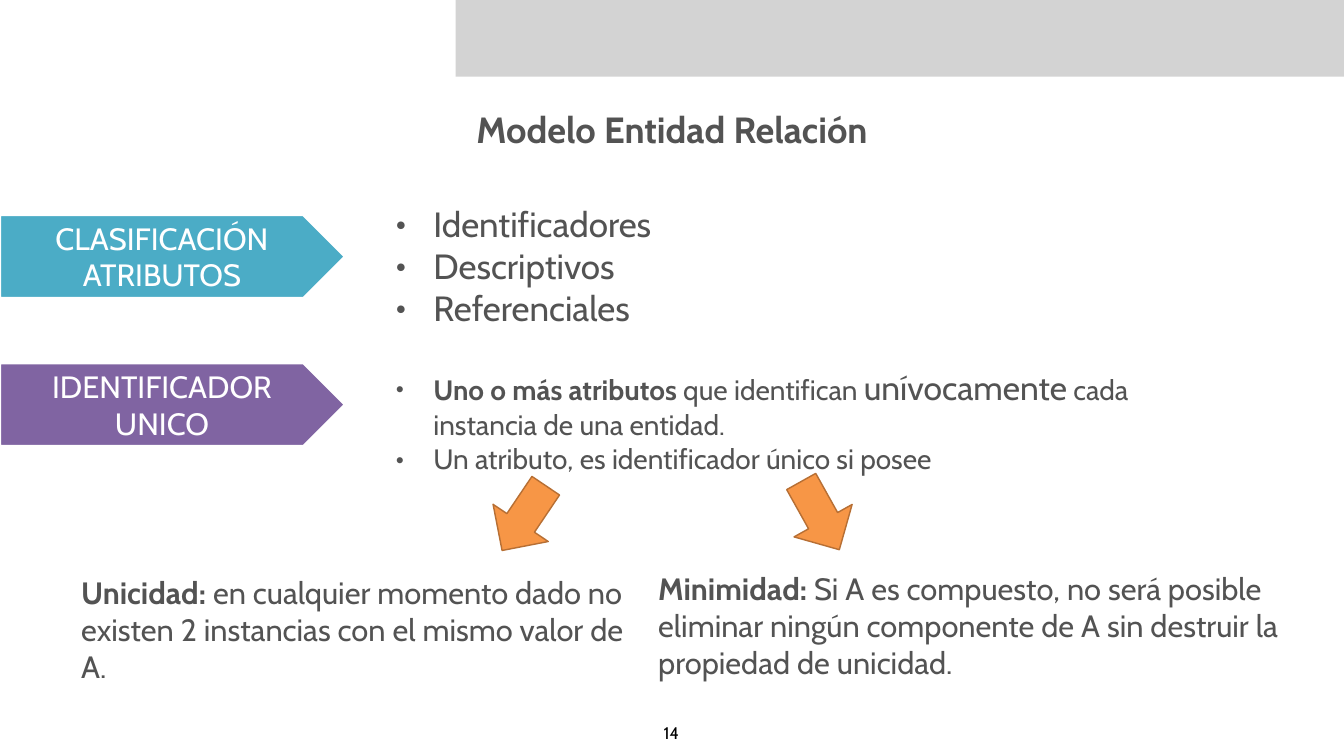
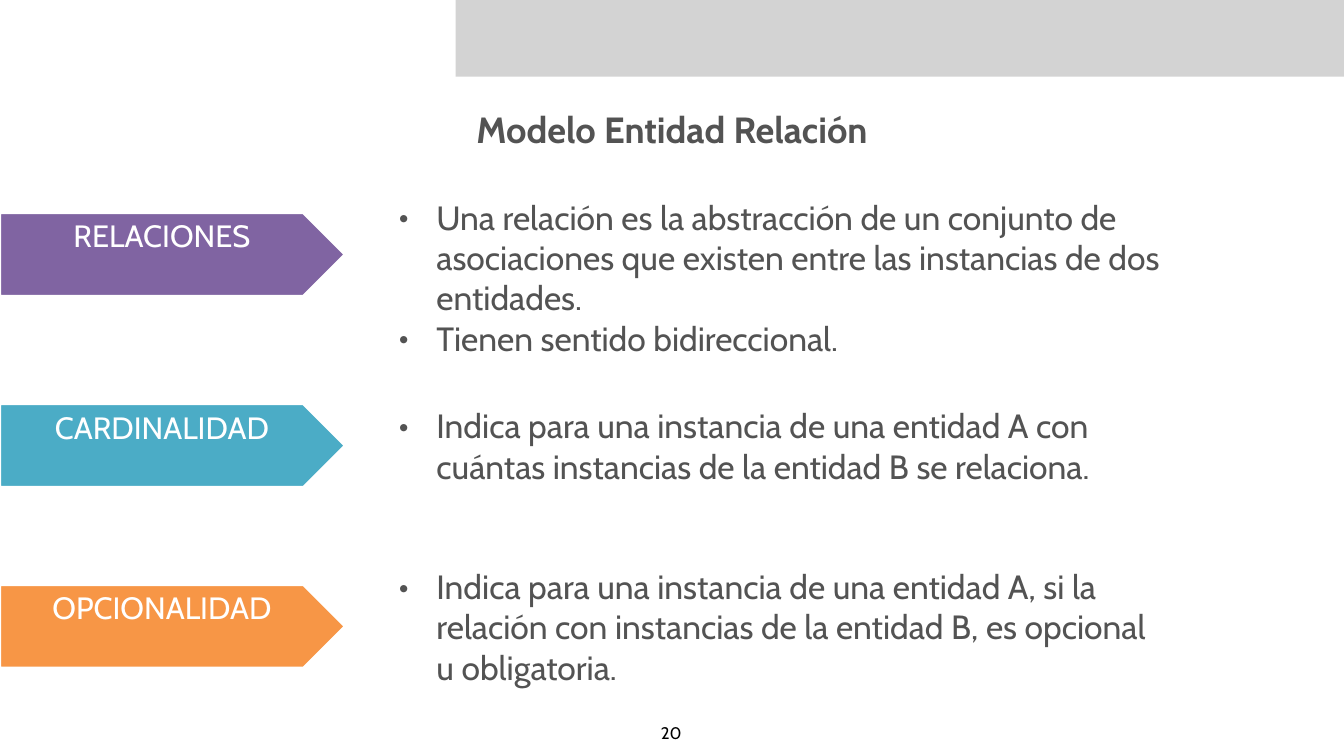
import dataclasses

import lxml.etree
import pptx
import pptx.dml.color
import pptx.enum.shapes
import pptx.enum.text
import pptx.oxml.ns
import pptx.util

SHAPE = pptx.enum.shapes.MSO_SHAPE
ALIGN = pptx.enum.text.PP_ALIGN
ANCHOR = pptx.enum.text.MSO_ANCHOR

# Grid: 80 columns by 45 rows of square cells
SLIDE_WIDTH, SLIDE_HEIGHT = 26.67, 15
COLUMNS, ROWS = 80, 45


@dataclasses.dataclass(frozen=True)
class Theme:
    font: str = "Cabin"
    ink: str = "535353"
    white: str = "FFFFFF"
    black: str = "000000"
    band: str = "D3D3D3"
    teal: str = "4BACC6"
    purple: str = "8064A2"
    orange: str = "F79646"
    arrow_edge: str = "B76F34"
    title_size: int = 52
    list_size: int = 50
    body_size: int = 48
    label_size: int = 44
    detail_size: int = 40
    number_size: int = 24


THEME = Theme()

# Shared geometry, in grid cells
BAND_LEFT, BAND_HEIGHT = 27.12, 4.56
TITLE_TOP, TITLE_WIDTH, TITLE_HEIGHT = 6.15, 48.27, 3.09
LABEL_WIDTH, LABEL_HEIGHT = 20.52, 4.92
NUMBER_CENTER, NUMBER_TOP, NUMBER_WIDTH, NUMBER_HEIGHT = 39.96, 42.78, 3, 1.65
ARROW_WIDTH, ARROW_HEIGHT = 4.65, 3.96
INSET, BULLET_INDENT = 0.24, 2.25

# Content: a paragraph is a string or a list of (text, bold, size) runs
TITLE = "Modelo Entidad Relación"
SLIDES = [
    {
        "number": "14",
        "labels": [
            (12.81, THEME.teal, ["CLASIFICACIÓN", "ATRIBUTOS"]),
            (21.63, THEME.purple, ["IDENTIFICADOR", "UNICO"]),
        ],
        "lists": [
            ((23.31, 11.76, 31.26, 8.04), THEME.list_size, ANCHOR.MIDDLE,
             ["Identificadores", "Descriptivos", "Referenciales"]),
            ((23.31, 21.63, 46.26, 8.97), THEME.detail_size, ANCHOR.TOP, [
                [("Uno o más atributos ", True, THEME.detail_size),
                 ("que identifican ", False, THEME.detail_size),
                 ("unívocamente", False, THEME.body_size),
                 (" cada instancia de una entidad.", False, THEME.detail_size)],
                "Un atributo, es identificador único si posee",
            ]),
        ],
        "definitions": [
            ((4.59, 33.87, 34.35, 7.14), "Unicidad: ",
             "en cualquier momento dado no existen 2 instancias con el mismo valor de A."),
            ((38.94, 33.66, 39.39, 7.14), "Minimidad:",
             " Si A es compuesto, no será posible eliminar ningún componente de A "
             "sin destruir la propiedad de unicidad."),
        ],
        "arrows": [(28.86, 28.86, 304), (46.5, 28.71, 240.8)],
    },
    {
        "number": "20",
        "labels": [
            (12.69, THEME.purple, ["RELACIONES"]),
            (24.06, THEME.teal, ["CARDINALIDAD"]),
            (34.83, THEME.orange, ["OPCIONALIDAD"]),
        ],
        "lists": [
            ((23.49, 9.24, 46.17, 14.52), THEME.body_size, ANCHOR.MIDDLE, [
                "Una relación es la abstracción de un conjunto de asociaciones "
                "que existen entre las instancias de dos entidades.",
                "Tienen sentido bidireccional.",
            ]),
            ((23.49, 22.65, 46.17, 7.74), THEME.body_size, ANCHOR.MIDDLE, [
                "Indica para una instancia de una entidad A con cuántas "
                "instancias de la entidad B se relaciona.",
            ]),
            ((23.49, 33.42, 46.17, 7.74), THEME.body_size, ANCHOR.MIDDLE, [
                "Indica para una instancia de una entidad A, si la relación con "
                "instancias de la entidad B, es opcional u obligatoria.",
            ]),
        ],
        "definitions": [],
        "arrows": [],
    },
]


def cells(count):
    return pptx.util.Inches(count * SLIDE_WIDTH / COLUMNS)


def place(box):
    left, top, width, height = box
    row = SLIDE_HEIGHT / ROWS
    return (cells(left), pptx.util.Inches(top * row),
            cells(width), pptx.util.Inches(height * row))


def color(value):
    return pptx.dml.color.RGBColor.from_string(value)


def add_bullet(paragraph):
    properties = paragraph._p.get_or_add_pPr()
    properties.set("marL", str(cells(BULLET_INDENT)))
    properties.set("indent", str(-cells(BULLET_INDENT)))
    for tag, name, value in (("a:buFont", "typeface", THEME.font),
                             ("a:buChar", "char", "•")):
        lxml.etree.SubElement(properties, pptx.oxml.ns.qn(tag)).set(name, value)


def write(shape, paragraphs, size, ink=THEME.ink, bold=False, align=ALIGN.LEFT,
          anchor=ANCHOR.MIDDLE, bulleted=False):
    frame = shape.text_frame
    frame.word_wrap = True
    frame.vertical_anchor = anchor
    frame.margin_left = frame.margin_right = cells(INSET)
    frame.margin_top = frame.margin_bottom = cells(INSET)
    for index, content in enumerate(paragraphs):
        paragraph = frame.add_paragraph() if index else frame.paragraphs[0]
        paragraph.alignment = align
        if bulleted:
            add_bullet(paragraph)
        runs = [(content, bold, size)] if isinstance(content, str) else content
        for text, run_bold, run_size in runs:
            run = paragraph.add_run()
            run.text = text
            run.font.name = THEME.font
            run.font.size = pptx.util.Pt(run_size)
            run.font.bold = run_bold
            run.font.color.rgb = color(ink)


def add_text(slide, box, paragraphs, size, **style):
    write(slide.shapes.add_textbox(*place(box)), paragraphs, size, **style)


def add_block(slide, kind, box, fill, line=None, line_width=0):
    shape = slide.shapes.add_shape(kind, *place(box))
    shape.shadow.inherit = False
    shape.fill.solid()
    shape.fill.fore_color.rgb = color(fill)
    if line:
        shape.line.color.rgb = color(line)
        shape.line.width = pptx.util.Pt(line_width)
    else:
        shape.line.fill.background()
    return shape


def add_frame(slide, number):
    """Band, title and page number that every slide carries."""
    add_block(slide, SHAPE.RECTANGLE,
              (BAND_LEFT, 0, COLUMNS - BAND_LEFT, BAND_HEIGHT), THEME.band)
    add_text(slide, ((COLUMNS - TITLE_WIDTH) / 2, TITLE_TOP, TITLE_WIDTH, TITLE_HEIGHT),
             [TITLE], THEME.title_size, bold=True, align=ALIGN.CENTER)
    add_text(slide, (NUMBER_CENTER - NUMBER_WIDTH / 2, NUMBER_TOP, NUMBER_WIDTH, NUMBER_HEIGHT),
             [number], THEME.number_size, ink=THEME.black, align=ALIGN.CENTER,
             anchor=ANCHOR.TOP)


def build_slide(presentation, content):
    slide = presentation.slides.add_slide(presentation.slide_layouts[6])
    add_frame(slide, content["number"])

    # Pointed labels and the lists beside them
    for top, fill, lines in content["labels"]:
        label = add_block(slide, SHAPE.PENTAGON, (0, top, LABEL_WIDTH, LABEL_HEIGHT),
                          fill, THEME.white, 3)
        write(label, lines, THEME.label_size, ink=THEME.white,
              align=ALIGN.CENTER, anchor=ANCHOR.TOP)
    for box, size, anchor, items in content["lists"]:
        add_text(slide, box, items, size, anchor=anchor, bulleted=True)

    # Definitions and the arrows that lead to them
    for box, term, meaning in content["definitions"]:
        runs = [(term, True, THEME.label_size), (meaning, False, THEME.label_size)]
        add_text(slide, box, [runs], THEME.label_size)
    for left, top, rotation in content["arrows"]:
        arrow = add_block(slide, SHAPE.LEFT_ARROW, (left, top, ARROW_WIDTH, ARROW_HEIGHT),
                          THEME.orange, THEME.arrow_edge, 2)
        arrow.rotation = rotation


def main():
    presentation = pptx.Presentation()
    presentation.slide_width = pptx.util.Inches(SLIDE_WIDTH)
    presentation.slide_height = pptx.util.Inches(SLIDE_HEIGHT)
    for content in SLIDES:
        build_slide(presentation, content)
    presentation.save("out.pptx")


if __name__ == "__main__":
    main()
